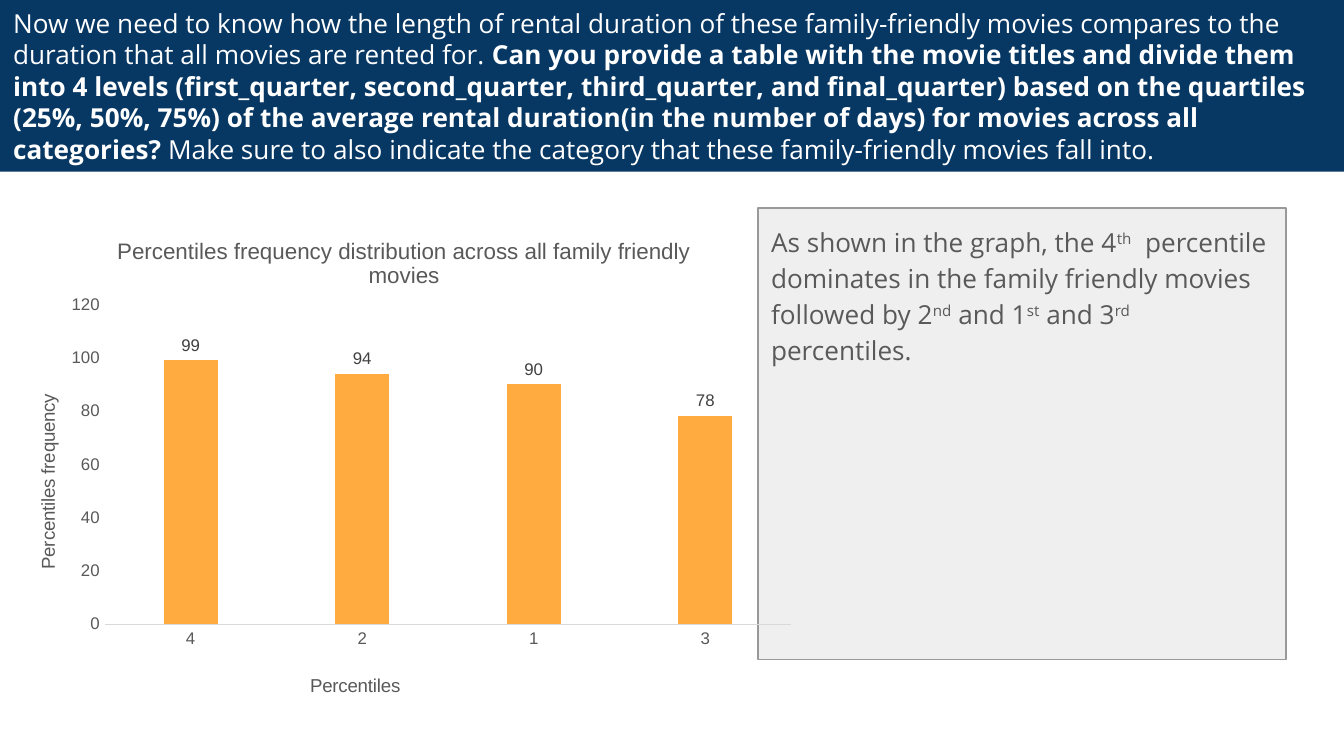
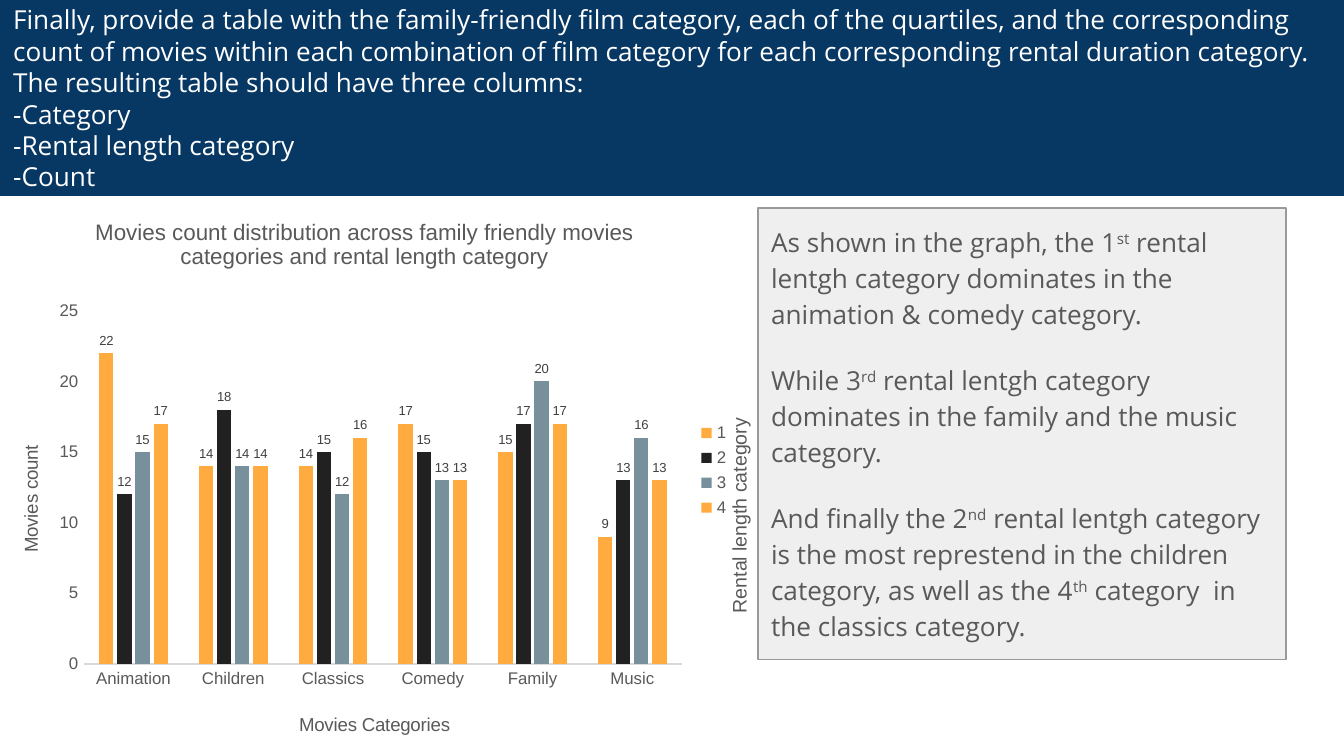
from dataclasses import dataclass

from pptx import Presentation
from pptx.chart.data import CategoryChartData
from pptx.dml.color import RGBColor
from pptx.enum.chart import XL_CHART_TYPE, XL_LABEL_POSITION, XL_LEGEND_POSITION, XL_TICK_MARK
from pptx.enum.shapes import MSO_SHAPE
from pptx.enum.text import MSO_ANCHOR, PP_ALIGN
from pptx.oxml import parse_xml
from pptx.oxml.ns import nsdecls, qn
from pptx.util import Pt

COLUMNS = XL_CHART_TYPE.COLUMN_CLUSTERED
OUTSIDE = XL_LABEL_POSITION.OUTSIDE_END
RIGHT = XL_LEGEND_POSITION.RIGHT
NO_TICK = XL_TICK_MARK.NONE
RECT = MSO_SHAPE.RECTANGLE
TOP, MIDDLE = MSO_ANCHOR.TOP, MSO_ANCHOR.MIDDLE
LEFT = PP_ALIGN.LEFT


@dataclass(frozen=True)
class Theme:
    text_font: str = "Open Sans"
    chart_font: str = "Arial"
    band: str = "073763"
    white: str = "FFFFFF"
    panel: str = "EFEFEF"
    border: str = "999999"
    grey: str = "595959"
    label: str = "404040"
    axis: str = "D9D9D9"
    series: tuple = ("FFAB40", "212121", "78909C", "FFAB40")
    body_size: float = 14
    title_size: float = 12
    note_size: float = 10.5
    axis_title_size: float = 10
    tick_size: float = 9


T = Theme()
SLIDE_W, SLIDE_H = 720, 405
PANEL_BOX = (406, 111.5, 283, 242)


def rgb(value):
    return RGBColor.from_string(value)


def set_font(font, name, size, color):
    for key, value in {"name": name, "size": Pt(size), "bold": False}.items():
        setattr(font, key, value)
    font.color.rgb = rgb(color)


def text_box(s, box, fill, paragraphs, color, mark, anchor, line=None, spacing=None):
    """Filled rectangle; text between mark characters is emphasised."""
    sp = s.shapes.add_shape(RECT, *map(Pt, box))
    sp.shadow.inherit = False
    sp.fill.solid()
    sp.fill.fore_color.rgb = rgb(fill)
    if line:
        sp.line.color.rgb = rgb(line)
        sp.line.width = Pt(0.75)
    else:
        sp.line.fill.background()
    tf = sp.text_frame
    frame = {"word_wrap": True, "vertical_anchor": anchor}
    frame.update({f"margin_{side}": Pt(7.2) for side in ("left", "top", "right", "bottom")})
    for key, value in frame.items():
        setattr(tf, key, value)
    for i, text in enumerate(paragraphs):
        p = tf.add_paragraph() if i else tf.paragraphs[0]
        p.alignment = LEFT
        if spacing:
            p.line_spacing, p.space_after = spacing
        for j, part in enumerate(text.split(mark)):
            r = p.add_run()
            r.text = part
            set_font(r.font, T.text_font, T.body_size, color)
            if j % 2 and mark == "^":
                r.font._element.set("baseline", "30000")
            elif j % 2:
                r.font.bold = True


# Question band across the top
def add_question(s, height, paragraphs):
    text_box(s, (0, 0, SLIDE_W, height), T.band, paragraphs, T.white, "*", MIDDLE)


# Grey panel with the findings
def add_findings(s, paragraphs):
    text_box(s, PANEL_BOX, T.panel, paragraphs, T.grey, "^", TOP,
             line=T.border, spacing=(1.15, Pt(16)))


def place(element, index, inner=False, **fractions):
    """Give a chart part a fixed position as fractions of the chart."""
    for old in element.findall(qn("c:layout")):
        element.remove(old)
    target = '<c:layoutTarget val="inner"/>' if inner else ""
    modes = "".join(f'<c:{k}Mode val="edge"/>' for k in "xy")
    values = "".join(f'<c:{k} val="{v}"/>' for k, v in fractions.items())
    element.insert(index, parse_xml(
        f'<c:layout {nsdecls("c")}><c:manualLayout>{target}{modes}{values}'
        "</c:manualLayout></c:layout>"))


def set_title(owner, text, size, x, y):
    title = owner.chart_title if hasattr(owner, "chart_title") else owner.axis_title
    title.text_frame.text = text
    set_font(title.text_frame.paragraphs[0].runs[0].font, T.chart_font, size, T.grey)
    place(title._element, 1, x=x, y=y)


# Column chart with titles and value labels
def add_columns(s, box, titles, spots, plot_area, cats, series, top, label_size, legend=False):
    data = CategoryChartData()
    data.categories = cats
    for name, values in series.items():
        data.add_series(name, values)
    chart = s.shapes.add_chart(COLUMNS, *map(Pt, box), data).chart
    set_font(chart.font, T.chart_font, T.axis_title_size, T.grey)
    chart_xml = chart._chartSpace.chart
    chart_xml.addnext(parse_xml(
        f'<c:spPr {nsdecls("c", "a")}><a:noFill/><a:ln><a:noFill/></a:ln></c:spPr>'))

    cat, val = chart.category_axis, chart.value_axis
    sizes = (T.title_size, T.axis_title_size, T.axis_title_size)
    for owner, text, size, spot in zip((chart, cat, val), titles, sizes, spots):
        set_title(owner, text, size, *spot)
    for axis in (cat, val):
        axis.major_tick_mark = axis.minor_tick_mark = NO_TICK
        axis.has_major_gridlines = False
        set_font(axis.tick_labels.font, T.chart_font, T.tick_size, T.grey)
    cat.format.line.color.rgb = rgb(T.axis)
    cat.format.line.width = Pt(0.75)
    val.format.line.fill.background()
    val.minimum_scale, val.maximum_scale = 0, top
    place(chart_xml.plotArea, 0, True, **dict(zip("xywh", plot_area)))

    plot = chart.plots[0]
    plot.gap_width, plot.overlap, plot.vary_by_categories = 219, -27, False
    for ser, color in zip(plot.series, T.series):
        ser.format.fill.solid()
        ser.format.fill.fore_color.rgb = rgb(color)
        labels = ser.data_labels
        labels.show_value, labels.position = True, OUTSIDE
        set_font(labels.font, T.chart_font, label_size, T.label)
    chart.has_legend = legend
    if legend:
        chart.legend.position = RIGHT
        chart.legend.include_in_layout = False
        set_font(chart.legend.font, T.chart_font, T.tick_size, T.grey)


# Vertical caption beside the legend
def add_legend_caption(s, box, text):
    sp = s.shapes.add_textbox(*map(Pt, box))
    sp.rotation = 270
    sp.text_frame.word_wrap = True
    r = sp.text_frame.paragraphs[0].add_run()
    r.text = text
    set_font(r.font, T.chart_font, T.note_size, T.grey)


def percentiles_slide(s):
    add_findings(s, [
        "As shown in the graph, the 4^th^  percentile dominates in the family friendly movies "
        "followed by 2^nd^ and 1^st^ and 3^rd^ percentiles."])
    add_question(s, 92, [
        "Now we need to know how the length of rental duration of these family-friendly movies "
        "compares to the duration that all movies are rented for. *Can you provide a table with "
        "the movie titles and divide them into 4 levels (first_quarter, second_quarter, "
        "third_quarter, and final_quarter) based on the quartiles (25%, 50%, 75%) of the average "
        "rental duration(in the number of days) for movies across all categories?* Make sure to "
        "also indicate the category that these family-friendly movies fall into."])
    add_columns(
        s, (0, 111.5, 432.5, 272),
        ("Percentiles frequency distribution across all family friendly movies",
         "Percentiles", "Percentiles frequency"),
        ((0.14, 0.05), (0.38, 0.91), (0.04, 0.36)), (0.13, 0.19, 0.85, 0.63),
        ("4", "2", "1", "3"), {"Series 1": (99, 94, 90, 78)}, top=120, label_size=9)


def categories_slide(s):
    add_findings(s, [
        "As shown in the graph, the 1^st^ rental lentgh category dominates in the animation & "
        "comedy category.",
        "While 3^rd^ rental lentgh category dominates in the family and the music category.",
        "And finally the 2^nd^ rental lentgh category is the most represtend in the children "
        "category, as well as the 4^th^ category  in the classics category."])
    add_question(s, 105, [
        "Finally, provide a table with the family-friendly film category, each of the quartiles, "
        "and the corresponding count of movies within each combination of film category for each "
        "corresponding rental duration category. The resulting table should have three columns:",
        "-Category", "-Rental length category", "-Count"])
    add_columns(
        s, (-8, 99.5, 406, 305),
        ("Movies count distribution across family friendly movies categories and rental length "
         "category", "Movies Categories", "Movies count"),
        ((0.14, 0.05), (0.41, 0.92), (0.04, 0.45)), (0.13, 0.22, 0.79, 0.62),
        ("Animation", "Children", "Classics", "Comedy", "Family", "Music"),
        {"1": (22, 14, 14, 17, 15, 9), "2": (12, 18, 15, 15, 17, 13),
         "3": (15, 14, 12, 13, 20, 16), "4": (17, 14, 16, 13, 17, 13)},
        top=25, label_size=7, legend=True)
    add_legend_caption(s, (317, 245.5, 159, 21), "Rental length category")


def main():
    prs = Presentation()
    prs.slide_width, prs.slide_height = Pt(SLIDE_W), Pt(SLIDE_H)
    for build in (percentiles_slide, categories_slide):
        build(prs.slides.add_slide(prs.slide_layouts[6]))
    prs.save("out.pptx")


if __name__ == "__main__":
    main()
